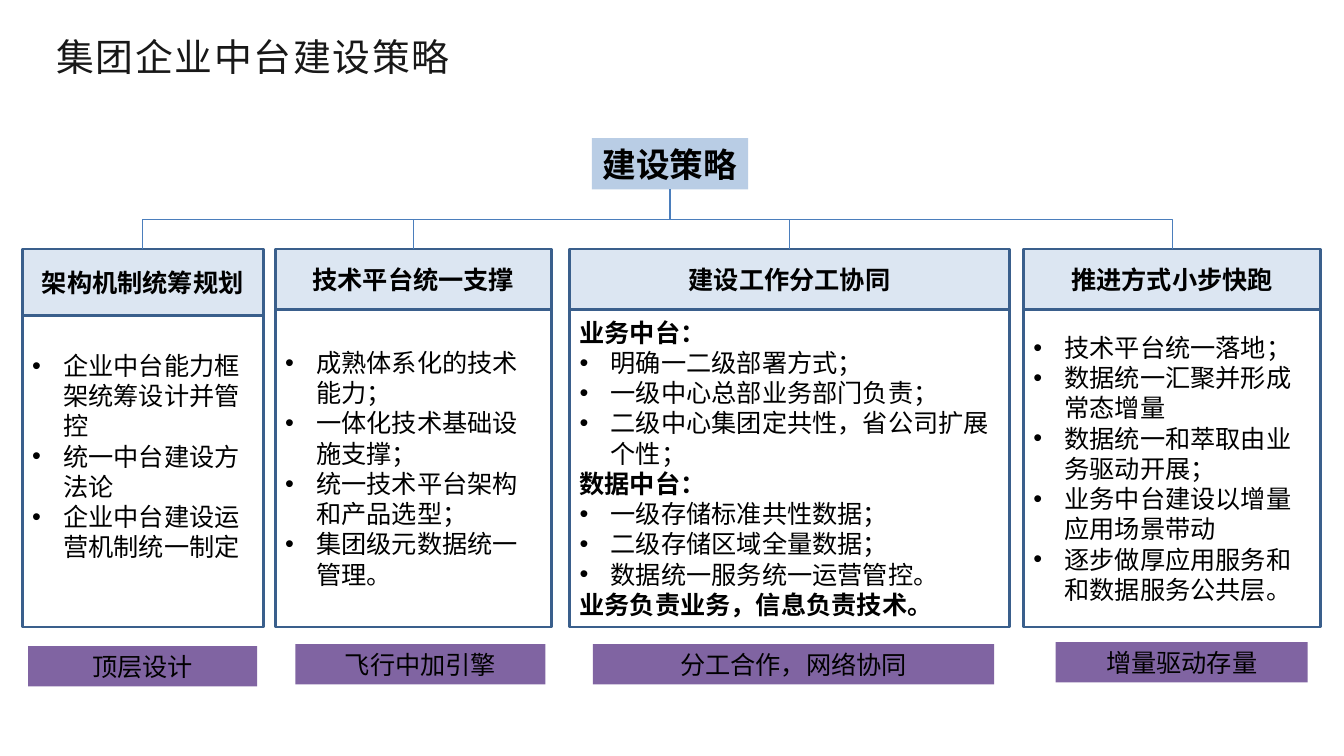
from lxml.etree import SubElement
from pptx import Presentation
from pptx.dml.color import RGBColor
from pptx.enum.shapes import MSO_CONNECTOR, MSO_SHAPE
from pptx.enum.text import MSO_ANCHOR, MSO_AUTO_SIZE, PP_ALIGN
from pptx.oxml.ns import qn
from pptx.util import Pt

PX = 9144  # 100 px to the inch
BLACK = RGBColor(0, 0, 0)
INK = RGBColor(0x18, 0x18, 0x18)
SKY = RGBColor(0xB9, 0xCD, 0xE5)
PALE = RGBColor(0xDC, 0xE6, 0xF2)
NAVY = RGBColor(0x3A, 0x5F, 0x8C)
BLUE = RGBColor(0x4B, 0x7E, 0xBC)
PURPLE = RGBColor(0x80, 0x64, 0xA2)
TOP, END = 247, 622  # upper and lower edge of the columns
INDENT = 31

# Box left and width, head height, bottom inset, head, points, tag box, tag.
# Points starting with "*" are bold lines without a bullet.
COLUMNS = [
    (22, 239, 66, 35, "架构机制统筹规划",
     ["企业中台能力框架统筹设计并管控", "统一中台建设方法论", "企业中台建设运营机制统一制定"],
     (28, 641, 227, 40), "顶层设计"),
    (273, 274, 60, 5, "技术平台统一支撑",
     ["成熟体系化的技术能力；", "一体化技术基础设施支撑；", "统一技术平台架构和产品选型；",
      "集团级元数据统一管理。"],
     (293, 639, 248, 40), "飞行中加引擎"),
    (565, 436, 60, 5, "建设工作分工协同",
     ["*业务中台：", "明确一二级部署方式；", "一级中心总部业务部门负责；",
      "二级中心集团定共性，省公司扩展个性；", "*数据中台：", "一级存储标准共性数据；",
      "二级存储区域全量数据；", "数据统一服务统一运营管控。", "*业务负责业务，信息负责技术。"],
     (588, 639, 398, 40), "分工合作，网络协同"),
    (1015, 295, 60, 5, "推进方式小步快跑",
     ["技术平台统一落地；", "数据统一汇聚并形成常态增量", "数据统一和萃取由业务驱动开展；",
      "业务中台建设以增量应用场景带动", "逐步做厚应用服务和和数据服务公共层。"],
     (1047, 637, 250, 40), "增量驱动存量"),
]


def style(para, size, bold=False, color=BLACK, name="Calibri"):
    font = para.font
    font.size, font.bold, font.name = Pt(size), bold, name
    font.color.rgb = color


def add_box(slide, box, fill=None, line=None):
    shape = slide.shapes.add_shape(MSO_SHAPE.RECTANGLE, *(n * PX for n in box))
    shape.shadow.inherit = False
    if fill is None:
        shape.fill.background()
    else:
        shape.fill.solid()
        shape.fill.fore_color.rgb = fill
    if line is None:
        shape.line.fill.background()
    else:
        shape.line.color.rgb = line
        shape.line.width = Pt(2)
    return shape


def add_label(slide, box, text, size, fill, line=None, bold=True):
    shape = add_box(slide, box, fill, line)
    para = shape.text_frame.paragraphs[0]
    para.text = text
    para.alignment = PP_ALIGN.CENTER
    style(para, size, bold)
    return shape


def add_title(slide, box, text):
    title = slide.shapes.title
    title.left, title.top, title.width, title.height = (n * PX for n in box)
    frame = title.text_frame
    frame.margin_left = frame.margin_right = 3 * PX
    frame.margin_top = frame.margin_bottom = 3 * PX
    frame.vertical_anchor = MSO_ANCHOR.MIDDLE
    frame.auto_size = MSO_AUTO_SIZE.SHAPE_TO_FIT_TEXT
    para = frame.paragraphs[0]
    para.text = text
    para.alignment = PP_ALIGN.LEFT
    para.line_spacing = 1.2
    style(para, 27, color=INK, name="Noto Sans CJK SC")
    # East Asian face and letter spacing
    props = para.runs[0]._r.get_or_add_rPr()
    props.set("spc", "120")
    SubElement(props, qn("a:ea")).set("typeface", "Noto Sans CJK SC")


def add_points(slide, box, points, inset):
    frame = add_box(slide, box, line=NAVY).text_frame
    frame.margin_bottom = inset * PX
    for i, point in enumerate(points):
        para = frame.add_paragraph() if i else frame.paragraphs[0]
        para.text = point.lstrip("*")
        para.alignment = PP_ALIGN.LEFT
        bold = point.startswith("*")
        if not bold:
            props = para._p.get_or_add_pPr()
            props.set("marL", str(INDENT * PX))
            props.set("indent", str(-INDENT * PX))
            SubElement(props, qn("a:buFont")).set("typeface", "Arial")
            SubElement(props, qn("a:buChar")).set("char", "•")
        style(para, 18, bold)


def add_column(slide, left, width, high, inset, head, points, place, tag):
    """Draw a head, its points and the tag below; return the head."""
    top = add_label(slide, (left, TOP, width, high), head, 18, PALE, NAVY)
    add_points(slide, (left, TOP + high, width, END - TOP - high), points, inset)
    add_label(slide, place, tag, 18, PURPLE, bold=False)
    return top


def add_branch(slide, root, head):
    """Join root and head by an elbow that leaves root downwards."""
    link = slide.shapes.add_connector(MSO_CONNECTOR.ELBOW, 0, 0, 0, 0)
    link.begin_connect(root, 2)
    link.end_connect(head, 0)
    x, y = root.left + root.width // 2, root.top + root.height
    dx, dy = head.left + head.width // 2 - x, head.top - y
    # The elbow runs sideways, so its frame is turned a quarter
    link.width, link.height = dy, abs(dx)
    link.left = x + (dx - dy) // 2
    link.top = y + (dy - abs(dx)) // 2
    frame = link._element.spPr.xfrm
    frame.set("rot", str((270 if dx > 0 else 90) * 60000))
    frame.set("flipH", "1" if dx > 0 else "0")
    frame.set("flipV", "0")
    link.line.color.rgb = BLUE
    link.line.width = Pt(0.75)
    SubElement(link._element.spPr, qn("a:effectLst"))


def main():
    deck = Presentation()
    deck.slide_width, deck.slide_height = 1333 * PX, 750 * PX
    slide = deck.slides.add_slide(deck.slide_layouts[5])
    add_title(slide, (53, 21, 1258, 60), "集团企业中台建设策略")
    root = add_label(slide, (587, 137, 155, 51), "建设策略", 24, SKY)
    root.text_frame.word_wrap = False
    for column in COLUMNS:
        add_branch(slide, root, add_column(slide, *column))
    deck.save("out.pptx")


if __name__ == "__main__":
    main()
